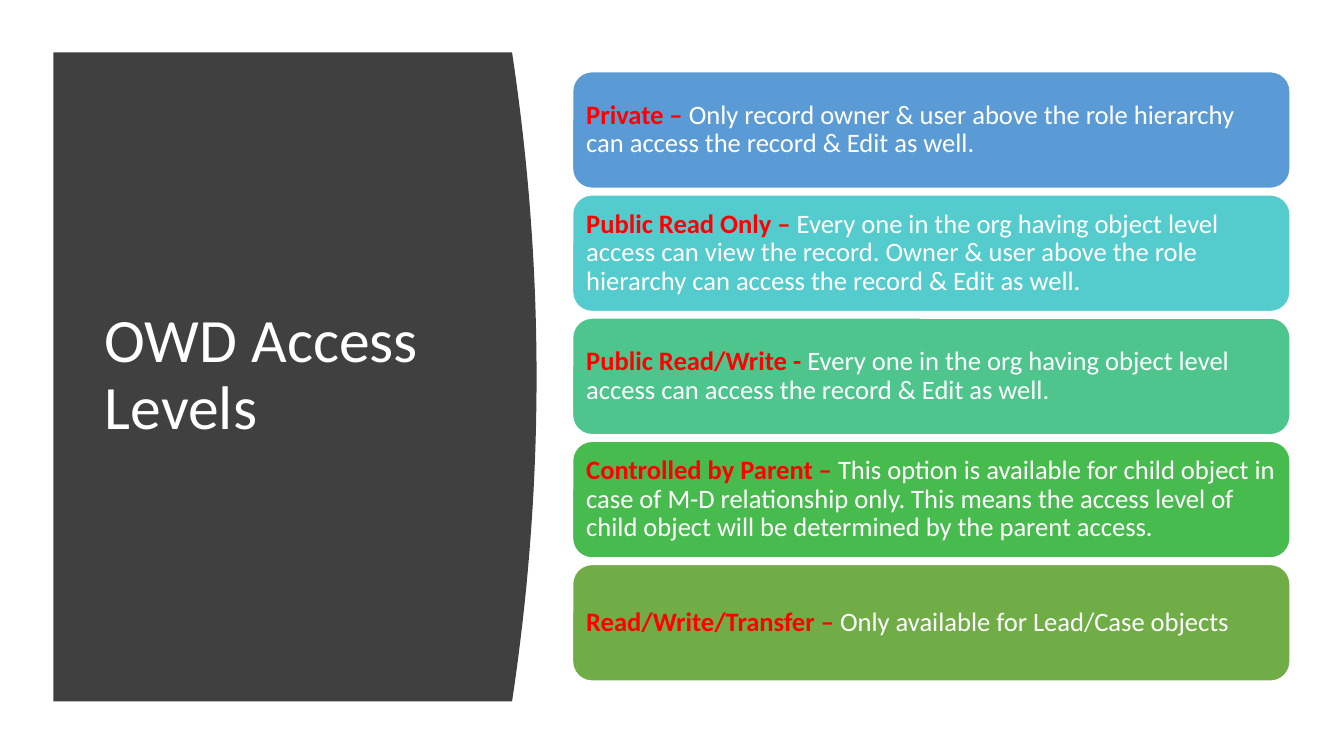
from dataclasses import dataclass

from pptx import Presentation
from pptx.dml.color import RGBColor
from pptx.enum.shapes import MSO_SHAPE
from pptx.enum.text import MSO_ANCHOR, MSO_AUTO_SIZE, PP_ALIGN
from pptx.slide import Slide
from pptx.text.text import TextFrame
from pptx.util import Pt


@dataclass(frozen=True)
class Theme:
    font: str = "Calibri"
    title_size: float = 44
    body_size: float = 19
    panel: str = "404040"
    light: str = "FFFFFF"
    accent: str = "FF0000"


@dataclass(frozen=True)
class Level:
    name: str
    detail: str
    fill: str


THEME = Theme()
LEVELS = [
    Level("Private – ",
          "Only record owner & user above the role hierarchy can access the record & Edit as well.",
          "5B9BD5"),
    Level("Public Read Only – ",
          "Every one in the org having object level access can view the record. "
          "Owner & user above the role hierarchy can access the record & Edit as well.",
          "54CCCD"),
    Level("Public Read/Write - ",
          "Every one in the org having object level access can access the record & Edit as well.",
          "4DC58D"),
    Level("Controlled by Parent – ",
          "This option is available for child object in case of M-D relationship only. "
          "This means the access level of child object will be determined by the parent access.",
          "48BB4F"),
    Level("Read/Write/Transfer – ", "Only available for Lead/Case objects", "70AD47"),
]
CARD_LEFT, CARD_TOP, CARD_WIDTH, CARD_HEIGHT, CARD_PITCH = 409, 51.2, 512.5, 83.3, 88
CARD_INSET = 5.7
PANEL_LEFT, PANEL_TOP, PANEL_EDGE, PANEL_HEIGHT = 38.2, 37.4, 365.8, 463.7
PANEL_BULGE, CURVE_STEPS = 17.5, 40


def format_frame(tf: TextFrame) -> None:
    tf.word_wrap = True
    tf.auto_size = MSO_AUTO_SIZE.NONE
    tf.vertical_anchor = MSO_ANCHOR.MIDDLE
    p = tf.paragraphs[0]
    p.alignment = PP_ALIGN.LEFT
    p.line_spacing = 0.9


def add_run(tf: TextFrame, text: str, size: float, color: str, bold: bool = False) -> None:
    r = tf.paragraphs[0].add_run()
    r.text = text
    r.font.name = THEME.font
    r.font.size = Pt(size)
    r.font.bold = bold
    r.font.color.rgb = RGBColor.from_string(color)


def add_panel(s: Slide) -> None:
    curve = []
    for i in range(CURVE_STEPS + 1):
        t = 2 * i / CURVE_STEPS - 1
        x = PANEL_EDGE + PANEL_BULGE * (1 - t * t)
        y = PANEL_TOP + PANEL_HEIGHT * i / CURVE_STEPS
        curve.append((Pt(x), Pt(y)))
    builder = s.shapes.build_freeform(Pt(PANEL_LEFT), Pt(PANEL_TOP))
    builder.add_line_segments(curve + [(Pt(PANEL_LEFT), Pt(PANEL_TOP + PANEL_HEIGHT))])
    sp = builder.convert_to_shape()
    sp.shadow.inherit = False
    sp.fill.solid()
    sp.fill.fore_color.rgb = RGBColor.from_string(THEME.panel)
    sp.line.fill.background()
    s.shapes.element.insert(2, sp.element)


def add_title(s: Slide, text: str) -> None:
    sp = s.shapes.title
    sp.left, sp.top, sp.width, sp.height = Pt(67.7), Pt(80), Pt(269.3), Pt(377.3)
    format_frame(sp.text_frame)
    add_run(sp.text_frame, text, THEME.title_size, THEME.light)


def add_card(s: Slide, level: Level, top: float) -> None:
    sp = s.shapes.add_shape(MSO_SHAPE.ROUNDED_RECTANGLE, Pt(CARD_LEFT), Pt(top),
                            Pt(CARD_WIDTH), Pt(CARD_HEIGHT))
    sp.shadow.inherit = False
    sp.fill.solid()
    sp.fill.fore_color.rgb = RGBColor.from_string(level.fill)
    sp.line.color.rgb = RGBColor.from_string(THEME.light)
    sp.line.width = Pt(1)
    tf = sp.text_frame
    format_frame(tf)
    tf.margin_left = tf.margin_right = tf.margin_top = tf.margin_bottom = Pt(CARD_INSET)
    add_run(tf, level.name, THEME.body_size, THEME.accent, bold=True)
    add_run(tf, level.detail, THEME.body_size, THEME.light)


def main() -> None:
    prs = Presentation()
    prs.slide_width, prs.slide_height = Pt(960), Pt(540)
    s = prs.slides.add_slide(prs.slide_layouts[5])
    add_panel(s)
    add_title(s, "OWD Access Levels")
    for i, level in enumerate(LEVELS):
        add_card(s, level, CARD_TOP + i * CARD_PITCH)
    prs.save("out.pptx")


if __name__ == "__main__":
    main()
